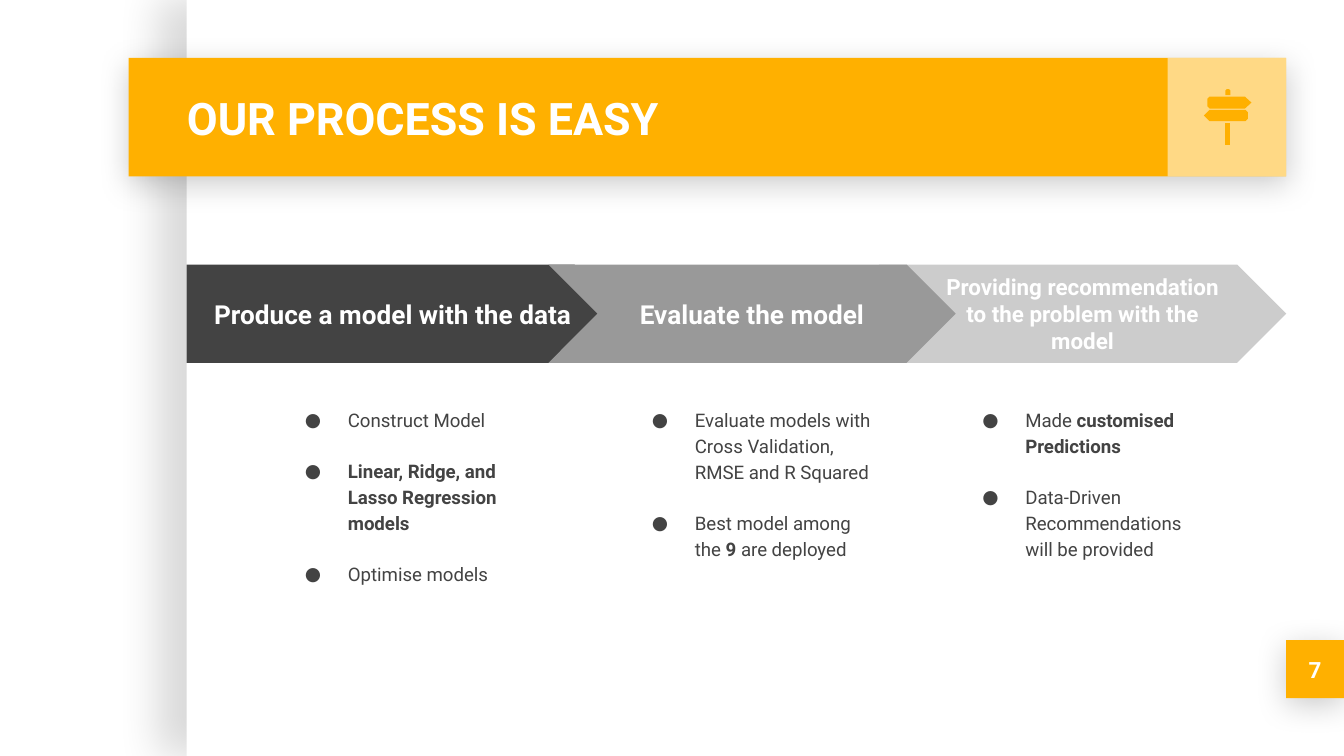
import dataclasses
import typing

import lxml.etree
import pptx
import pptx.dml.color
import pptx.enum.shapes
import pptx.enum.text
import pptx.oxml.ns
import pptx.util

Pt = pptx.util.Pt
Shapes = pptx.enum.shapes.MSO_SHAPE
Align = pptx.enum.text.PP_ALIGN
Anchor = pptx.enum.text.MSO_ANCHOR
qn = pptx.oxml.ns.qn


@dataclasses.dataclass(frozen=True)
class Theme:
    font: str = "Roboto"
    white: str = "FFFFFF"
    amber: str = "FFB000"
    dark: str = "434343"
    middle: str = "999999"
    light: str = "CCCCCC"
    title_size: float = 24
    step_size: float = 14
    small_size: float = 12
    body_size: float = 10


THEME = Theme()


class Area(typing.NamedTuple):
    left: float
    top: float
    width: float
    height: float


class Shadow(typing.NamedTuple):
    opacity: int
    blur: float
    distance: float
    angle: int


class Words(typing.NamedTuple):
    text: str
    bold: bool = False


class Step(typing.NamedTuple):
    heading: str
    size: float
    preset: Shapes
    fill: str
    left: float
    width: float
    body_left: float
    bullets: list[list[Words]]


PANEL_SHADOW = Shadow(15, 22.5, 15, 180)
CARD_SHADOW = Shadow(20, 16.9, 3.8, 90)

BANNER = Area(69, 31, 620, 63.5)
PAGE_TAG = Area(689, 343, 31, 31)
ARROW_TOP, ARROW_HEIGHT = 141.7, 52.7
BODY_TOP, BODY_WIDTH, BODY_HEIGHT = 210.2, 147.6, 151.2
BULLET_GAP = 13.6

# Listed from back to front, because the arrows overlap
STEPS = [
    Step("Providing recommendation to the problem with the model", THEME.small_size,
         Shapes.CHEVRON, THEME.light, 470.9, 218.2, 506.2,
         [[Words("Made "), Words("customised Predictions", True)],
          [Words("Data-Driven Recommendations will be provided")]]),
    Step("Produce a model with the data", THEME.step_size,
         Shapes.PENTAGON, THEME.dark, 100, 234, 143.3,
         [[Words("Construct Model")],
          [Words("Linear, Ridge, and Lasso Regression models", True)],
          [Words("Optimise models")]]),
    Step("Evaluate the model", THEME.step_size,
         Shapes.CHEVRON, THEME.middle, 293.8, 218.2, 329.2,
         [[Words("Evaluate models with Cross Validation, RMSE and R Squared")],
          [Words("Best model among the "), Words("9", True), Words(" are deployed")]]),
]

# Signpost outlines: two boards, the cap and the pole
SIGNPOST = [
    [(648, 51.8), (666.9, 51.8), (670.4, 55), (666.9, 58.2), (648, 58.2),
     (646.8, 57), (646.8, 53)],
    [(648, 58.9), (667.2, 58.9), (668.5, 60.1), (668.5, 63.7), (667.2, 64.9),
     (648, 64.9), (645, 61.9)],
    [(657.3, 47.7), (658.4, 47.7), (659.1, 48.5), (659.1, 50.9), (656.5, 50.9),
     (656.5, 48.5)],
    [(656.5, 66), (659.1, 66), (659.1, 77.7), (656.5, 77.7)],
]


def rgb(value: str) -> pptx.dml.color.RGBColor:
    return pptx.dml.color.RGBColor.from_string(value)


def paint(shape, fill: str) -> None:
    shape.shadow.inherit = False
    shape.fill.solid()
    shape.fill.fore_color.rgb = rgb(fill)
    shape.line.fill.background()


def add_color(parent, value: str, opacity: int) -> None:
    color = lxml.etree.SubElement(parent, qn("a:srgbClr"), val=value)
    lxml.etree.SubElement(color, qn("a:alpha"), val=str(opacity * 1000))


def cast_shadow(shape, shadow: Shadow) -> None:
    effects = shape._element.spPr.find(qn("a:effectLst"))
    outer = lxml.etree.SubElement(
        effects, qn("a:outerShdw"), blurRad=str(Pt(shadow.blur)),
        dist=str(Pt(shadow.distance)), dir=str(shadow.angle * 60000),
        algn="bl", rotWithShape="0")
    add_color(outer, "000000", shadow.opacity)


def add_block(page, preset: Shapes, area: Area, fill: str,
              shadow: typing.Optional[Shadow] = None):
    block = page.shapes.add_shape(preset, *(Pt(n) for n in area))
    paint(block, fill)
    if shadow:
        cast_shadow(block, shadow)
    return block


def set_frame(shape, anchor: Anchor):
    frame = shape.text_frame
    frame.word_wrap = True
    frame.auto_size = pptx.enum.text.MSO_AUTO_SIZE.NONE
    frame.vertical_anchor = anchor
    frame.margin_left = frame.margin_right = Pt(7.2)
    frame.margin_top = frame.margin_bottom = Pt(7.2)
    return frame


def add_words(para, words: Words, size: float, color: str) -> None:
    span = para.add_run()
    span.text = words.text
    span.font.name = THEME.font
    span.font.size = Pt(size)
    span.font.bold = words.bold
    span.font.color.rgb = rgb(color)


def label(shape, text: str, size: float, align: Align = Align.CENTER) -> None:
    para = set_frame(shape, Anchor.MIDDLE).paragraphs[0]
    para.alignment = align
    add_words(para, Words(text, True), size, THEME.white)


def set_bullet(para) -> None:
    props = para._p.get_or_add_pPr()
    props.set("marL", str(Pt(36)))
    props.set("indent", str(Pt(-23)))
    color = lxml.etree.SubElement(props, qn("a:buClr"))
    lxml.etree.SubElement(color, qn("a:srgbClr"), val=THEME.dark)
    lxml.etree.SubElement(props, qn("a:buFont"), typeface=THEME.font)
    lxml.etree.SubElement(props, qn("a:buChar"), char="●")


def add_step(page, step: Step) -> None:
    arrow = add_block(page, step.preset,
                      Area(step.left, ARROW_TOP, step.width, ARROW_HEIGHT), step.fill)
    label(arrow, step.heading, step.size)
    box = page.shapes.add_textbox(Pt(step.body_left), Pt(BODY_TOP),
                                  Pt(BODY_WIDTH), Pt(BODY_HEIGHT))
    frame = set_frame(box, Anchor.TOP)
    for index, bullet in enumerate(step.bullets):
        para = frame.add_paragraph() if index else frame.paragraphs[0]
        set_bullet(para)
        para.line_spacing = 1.15
        if index:
            para.space_before = Pt(BULLET_GAP)
        for words in bullet:
            add_words(para, words, THEME.body_size, THEME.dark)


def add_outline(page, points: list[tuple[float, float]]) -> None:
    # Hundredths of a point keep the small outlines sharp
    start, *rest = [(round(x * 100), round(y * 100)) for x, y in points]
    builder = page.shapes.build_freeform(*start, scale=Pt(1) / 100)
    builder.add_line_segments(rest, close=True)
    paint(builder.convert_to_shape(), THEME.amber)


def main() -> None:
    deck = pptx.Presentation()
    deck.slide_width, deck.slide_height = Pt(720), Pt(405)
    page = deck.slides.add_slide(deck.slide_layouts[5])

    # White panel, banner and its pale icon square
    add_block(page, Shapes.RECTANGLE, Area(100, 0, 620, 405), THEME.white, PANEL_SHADOW)
    add_block(page, Shapes.RECTANGLE, BANNER, THEME.amber, CARD_SHADOW)
    side = BANNER.height
    icon_left = BANNER.left + BANNER.width - side
    square = add_block(page, Shapes.RECTANGLE,
                       Area(icon_left, BANNER.top, side, side), THEME.white)
    white = square._element.spPr.find(qn("a:solidFill")).find(qn("a:srgbClr"))
    lxml.etree.SubElement(white, qn("a:alpha"), val="52000")

    # Title, brought in front of the banner
    title = page.shapes.title
    title.left, title.top, title.width, title.height = (
        Pt(n) for n in (92.9, BANNER.top, 530.6, side))
    label(title, "OUR PROCESS IS EASY", THEME.title_size, Align.LEFT)
    title._element.getparent().append(title._element)

    # Page number
    tag = add_block(page, Shapes.RECTANGLE, PAGE_TAG, THEME.amber, CARD_SHADOW)
    label(tag, "7", THEME.small_size)

    # Signpost icon and process steps
    for points in SIGNPOST:
        add_outline(page, points)
    for step in STEPS:
        add_step(page, step)

    deck.save("out.pptx")


if __name__ == "__main__":
    main()
